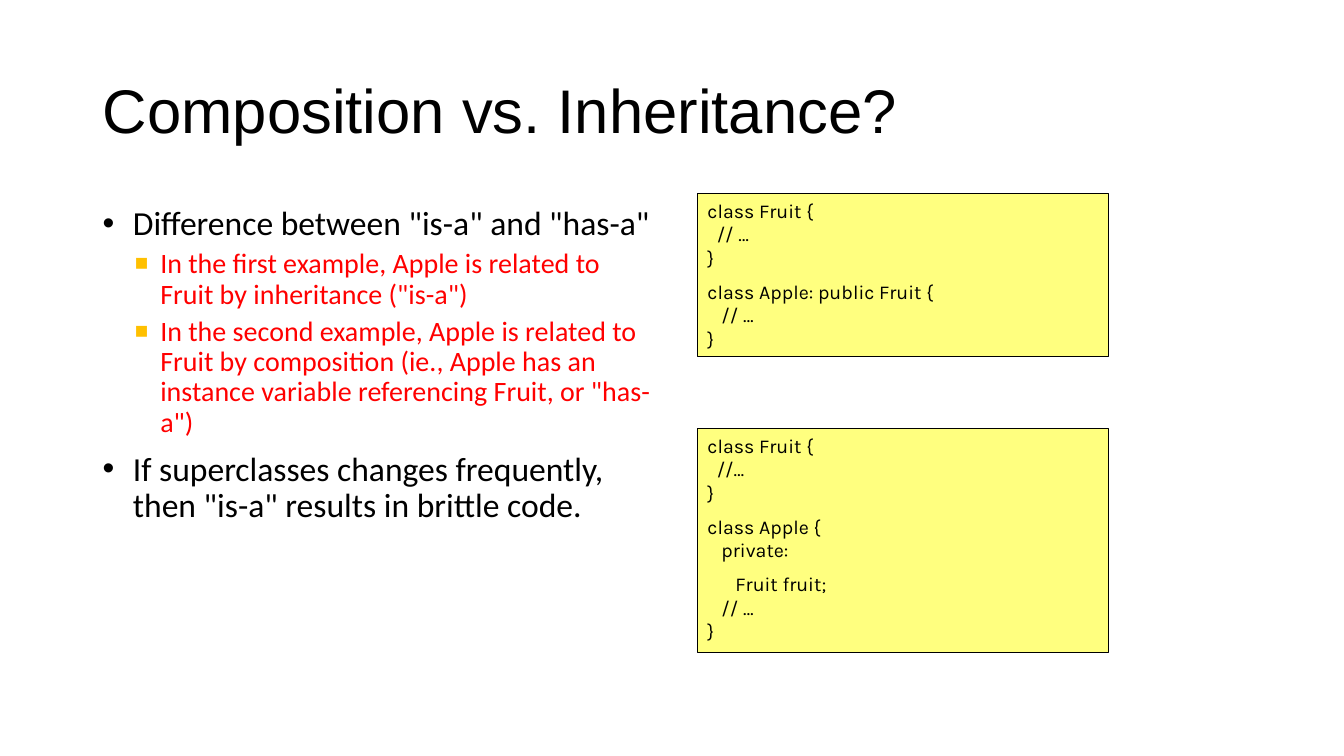
from copy import deepcopy

from lxml import etree
from pptx import Presentation
from pptx.dml.color import RGBColor
from pptx.enum import shapes, text
from pptx.oxml import ns
from pptx.util import Cm, Pt

BLACK = RGBColor(0, 0, 0)
RED = RGBColor(255, 0, 0)
AMBER = RGBColor(255, 192, 0)
YELLOW = RGBColor(255, 255, 0)

LEVELS = [
    {"size": 24, "color": BLACK, "left": 0.76, "hang": 0.76, "before": 10,
     "mark": "•", "tint": BLACK, "scale": 100},
    {"size": 20, "color": RED, "left": 1.45, "hang": 0.64, "before": 5,
     "mark": "■", "tint": AMBER, "scale": 80},
]

POINTS = [
    (0, 'Difference between "is-a" and "has-a"'),
    (1, 'In the first example, Apple is related to Fruit by inheritance ("is-a")'),
    (1, 'In the second example, Apple is related to Fruit by composition '
        '(ie., Apple has an instance variable referencing Fruit, or "has-a")'),
    (0, 'If superclasses changes frequently, then "is-a" results in brittle code.'),
]

# Top, height, paragraphs
CODES = [
    (4.88, 4.11, ["class Fruit {\n  // …\n}",
                  "class Apple: public Fruit {\n   // …\n}"]),
    (10.8, 5.64, ["class Fruit {\n  //…\n}",
                  "class Apple {\n   private:",
                  "      Fruit fruit;\n   // …\n}"]),
]


def add_tag(parent, name, **attrs):
    return etree.SubElement(parent, ns.qn(name), attrs)


def style(para, name, size, color):
    """Format the runs of a paragraph and its line breaks alike."""
    for run in para.runs:
        for key, value in {"name": name, "size": Pt(size)}.items():
            setattr(run.font, key, value)
        run.font.color.rgb = color
    first = para.runs[0].font
    for brk in para._p.findall(ns.qn("a:br")):
        brk.append(deepcopy(first._element if hasattr(first, "_element") else first._rPr))


def set_frame(frame, anchor):
    form = {"word_wrap": True, "auto_size": text.MSO_AUTO_SIZE.NONE,
            "vertical_anchor": anchor}
    for key, value in form.items():
        setattr(frame, key, value)


def add_paras(frame, lines):
    """Fill the frame, and yield each paragraph with its line."""
    for i, line in enumerate(lines):
        yield (frame.add_paragraph() if i else frame.paragraphs[0]), line


def set_title(slide, words):
    title = slide.shapes.title
    place = {"left": 2.34, "top": 1.02, "width": 29.21, "height": 3.68}
    for key, value in place.items():
        setattr(title, key, Cm(value))
    set_frame(title.text_frame, text.MSO_ANCHOR.MIDDLE)
    para = title.text_frame.paragraphs[0]
    para.text = words
    para.alignment = text.PP_ALIGN.LEFT
    para.line_spacing = 0.9
    style(para, "Arial", 44, BLACK)


def set_bullet(para, level):
    props = para._p.get_or_add_pPr()
    props.set("marL", str(Cm(level["left"])))
    props.set("indent", str(-Cm(level["hang"])))
    tint = add_tag(props, "a:buClr")
    add_tag(tint, "a:srgbClr", val=str(level["tint"]))
    add_tag(props, "a:buSzPct", val=str(level["scale"] * 1000))
    add_tag(props, "a:buFont", typeface="Arial")
    add_tag(props, "a:buChar", char=level["mark"])


def add_points(slide):
    box = slide.shapes.add_textbox(Cm(2.34), Cm(5.08), Cm(14.4), Cm(12.09))
    set_frame(box.text_frame, text.MSO_ANCHOR.TOP)
    for para, (depth, words) in add_paras(box.text_frame, POINTS):
        level = LEVELS[depth]
        para.text = words
        para.level = depth
        para.line_spacing = 0.9
        para.space_before = Pt(level["before"])
        set_bullet(para, level)
        style(para, "Calibri", level["size"], level["color"])


def add_code(slide, top, height, lines):
    box = slide.shapes.add_shape(shapes.MSO_SHAPE.RECTANGLE,
                                 Cm(17.58), Cm(top), Cm(10.36), Cm(height))
    box.shadow.inherit = False
    box.fill.solid()
    box.fill.fore_color.rgb = YELLOW
    shade = box._element.spPr.find(ns.qn("a:solidFill"))[0]
    add_tag(shade, "a:alpha", val="50000")
    box.line.color.rgb = BLACK
    box.line.width = Pt(0.75)
    set_frame(box.text_frame, text.MSO_ANCHOR.TOP)
    for para, line in add_paras(box.text_frame, lines):
        para.text = line
        para.alignment = text.PP_ALIGN.LEFT
        para.space_before = Pt(7.5)
        style(para, "Karla", 14, BLACK)


def main():
    deck = Presentation()
    deck.slide_width, deck.slide_height = Cm(33.87), Cm(19.05)
    slide = deck.slides.add_slide(deck.slide_layouts[5])
    set_title(slide, "Composition vs. Inheritance?")
    add_points(slide)
    for top, height, lines in CODES:
        add_code(slide, top, height, lines)
    deck.save("out.pptx")


if __name__ == "__main__":
    main()
